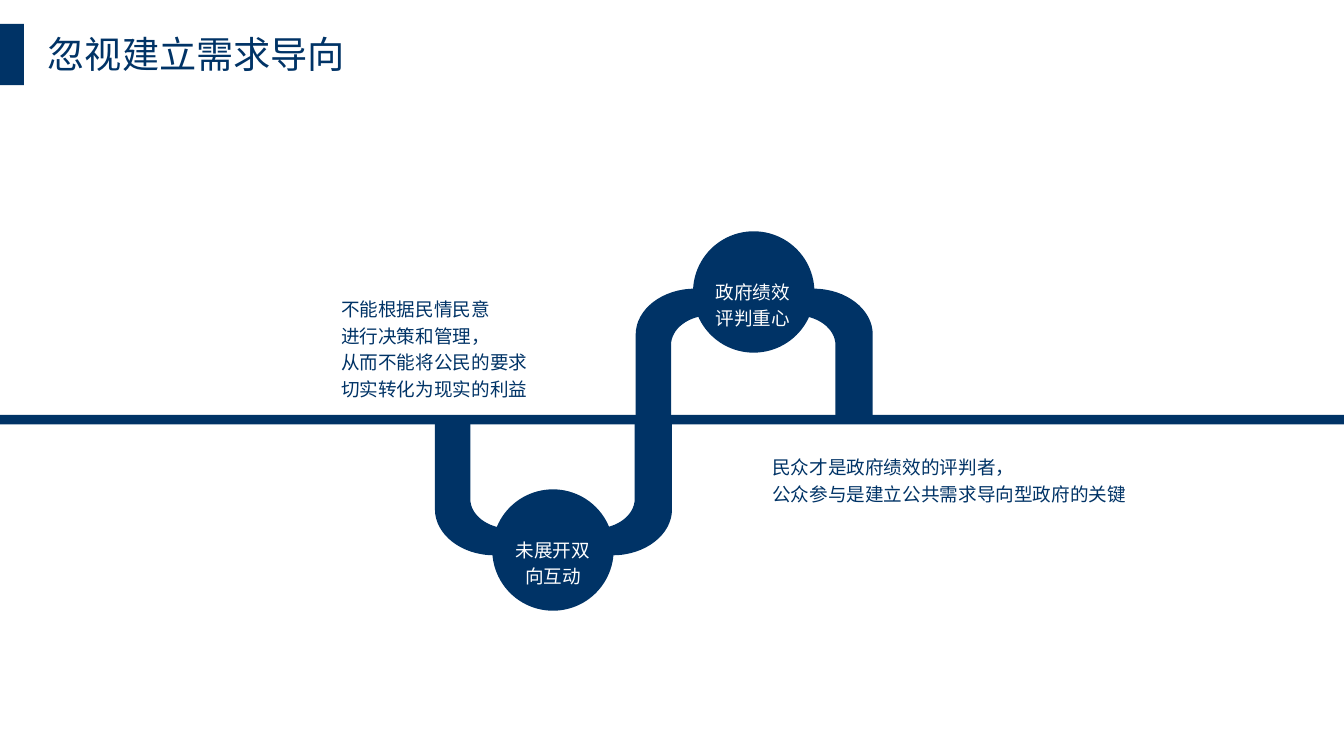
from dataclasses import dataclass

from pptx import Presentation
from pptx.dml.color import RGBColor
from pptx.enum.lang import MSO_LANGUAGE_ID as Language
from pptx.enum.shapes import MSO_SHAPE as ShapeKind
from pptx.enum.text import MSO_ANCHOR as Anchor, MSO_AUTO_SIZE as AutoSize, PP_ALIGN as Align
from pptx.oxml.ns import qn
from pptx.shapes.autoshape import Shape
from pptx.util import Inches, Pt

NAVY, WHITE = "003366", "FFFFFF"
CHINESE_FONT = "Noto Sans CJK SC"
NO_MARGINS = dict.fromkeys(("margin_left", "margin_top", "margin_right", "margin_bottom"), 0)

# Size of a pipe, its walls, and the radii of its corners, in inches
PIPE_WIDTH, PIPE_DEPTH = 2.48, 1.38
INNER_LEFT, INNER_RIGHT, INNER_DEPTH = 0.37, 2.09, 1.1
OUTER_RADII, INNER_RADII = (0.62, 0.48), (0.41, 0.31)
ROUNDNESS = 0.55  # share of a radius that a quarter curve's handle takes

Point = tuple[float, float]


@dataclass
class Box:
    left: float
    top: float
    width: float
    height: float

    def lengths(self) -> list[int]:
        return [Inches(value) for value in (self.left, self.top, self.width, self.height)]


@dataclass
class Pipe:
    left: float
    base: float
    direction: int  # 1 hangs below the axis, -1 rises above it


@dataclass
class Block:
    kind: ShapeKind
    box: Box


@dataclass
class Label:
    box: Box
    lines: list[str]
    color: str = NAVY
    align: Align = Align.LEFT
    wrap: bool = False


def rgb(color: str) -> RGBColor:
    return RGBColor.from_string(color)


def apply(target: object, values: dict) -> None:
    for name, value in values.items():
        setattr(target, name, value)


def paint(shape: Shape) -> None:
    shape.shadow.inherit = False
    shape.fill.solid()
    shape.fill.fore_color.rgb = rgb(NAVY)
    shape.line.fill.background()


def corner(start: Point, tip: Point, end: Point) -> list[Point]:
    """Start, two handles and end of a quarter curve that rounds off the tip."""
    handles = [tuple(a + ROUNDNESS * (b - a) for a, b in zip(point, tip)) for point in (start, end)]
    return [start, *handles, end]


def bowl(left: float, right: float, depth: float, radii: Point) -> list[Point]:
    """Two rounded corners, from the left side over the bottom to the right side."""
    radius_x, radius_y = radii
    return [
        *corner((left, depth - radius_y), (left, depth), (left + radius_x, depth)),
        *corner((right - radius_x, depth), (right, depth), (right, depth - radius_y)),
    ]


def draw_pipe(pipe: Pipe) -> None:
    outline = [
        (0, 0), (INNER_LEFT, 0),
        *bowl(INNER_LEFT, INNER_RIGHT, INNER_DEPTH, INNER_RADII),
        (INNER_RIGHT, 0), (PIPE_WIDTH, 0),
        *reversed(bowl(0, PIPE_WIDTH, PIPE_DEPTH, OUTER_RADII)),
    ]
    points = [(Inches(pipe.left + x), Inches(pipe.base + pipe.direction * y)) for x, y in outline]
    builder = slide.shapes.build_freeform(*points[0])
    builder.add_line_segments(points[1:], close=True)
    shape = builder.convert_to_shape()
    paint(shape)

    # Join the three segments after each corner's start into one curve
    segments = list(shape._element.iter(qn("a:lnTo")))
    for start in (2, 6, 12, 16):
        curve, *others = segments[start:start + 3]
        curve.tag = qn("a:cubicBezTo")
        for segment in others:
            curve.append(segment[0])
            segment.getparent().remove(segment)


def draw_block(block: Block) -> None:
    paint(slide.shapes.add_shape(block.kind, *block.box.lengths()))


def write(shape: Shape, label: Label, size: int, font: str, spacing: float) -> None:
    frame = shape.text_frame
    frame.text = "\n".join(label.lines)
    apply(frame, {"word_wrap": label.wrap, "auto_size": AutoSize.SHAPE_TO_FIT_TEXT,
                  "vertical_anchor": Anchor.TOP})
    for paragraph in frame.paragraphs:
        apply(paragraph, {"alignment": label.align, "line_spacing": spacing})
        for run in paragraph.runs:
            apply(run.font, {"size": Pt(size), "name": font,
                             "language_id": Language.SIMPLIFIED_CHINESE})
            run.font.color.rgb = rgb(label.color)
            # East Asian typeface follows the latin one
            latin = run.font._element.find(qn("a:latin"))
            latin.addnext(latin.makeelement(qn("a:ea"), {"typeface": CHINESE_FONT}))


def draw_label(label: Label) -> None:
    shape = slide.shapes.add_textbox(*label.box.lengths())
    write(shape, label, 14, "Arial", 1.2)


def draw_title(label: Label) -> None:
    title = slide.shapes.title
    apply(title, dict(zip(("left", "top", "width", "height"), label.box.lengths())))
    write(title, label, 28, CHINESE_FONT, 1.0)
    apply(title.text_frame, NO_MARGINS)


presentation = Presentation()
apply(presentation, {"slide_width": Inches(14.06), "slide_height": Inches(7.91)})
slide = presentation.slides.add_slide(presentation.slide_layouts.get_by_name("Title Only"))

# Title with its marker
draw_title(Label(Box(0.5, 0.33, 3.14, 0.47), ["忽视建立需求导向"]))
draw_block(Block(ShapeKind.RECTANGLE, Box(0, 0.25, 0.25, 0.64)))

# Pipes, their circles and the axis
for pipe in (Pipe(4.55, 4.43, 1), Pipe(6.65, 4.4, -1)):
    draw_pipe(pipe)
for block in (
    Block(ShapeKind.OVAL, Box(5.15, 5.12, 1.27, 1.27)),
    Block(ShapeKind.OVAL, Box(7.25, 2.42, 1.27, 1.27)),
    Block(ShapeKind.RECTANGLE, Box(0, 4.34, 14.06, 0.1)),
):
    draw_block(block)

# Circle captions and explanations
for label in (
    Label(Box(5.24, 5.54, 1.09, 0.67), ["未展开双向互动"], WHITE, Align.CENTER, True),
    Label(Box(7.33, 2.84, 1.09, 0.67), ["政府绩效评判重心"], WHITE, Align.CENTER, True),
    Label(Box(3.47, 3.02, 2.17, 1.23),
          ["不能根据民情民意", "进行决策和管理，", "从而不能将公民的要求", "切实转化为现实的利益"]),
    Label(Box(7.98, 4.68, 3.93, 0.64),
          ["民众才是政府绩效的评判者，", "公众参与是建立公共需求导向型政府的关键"]),
):
    draw_label(label)

presentation.save("out.pptx")
